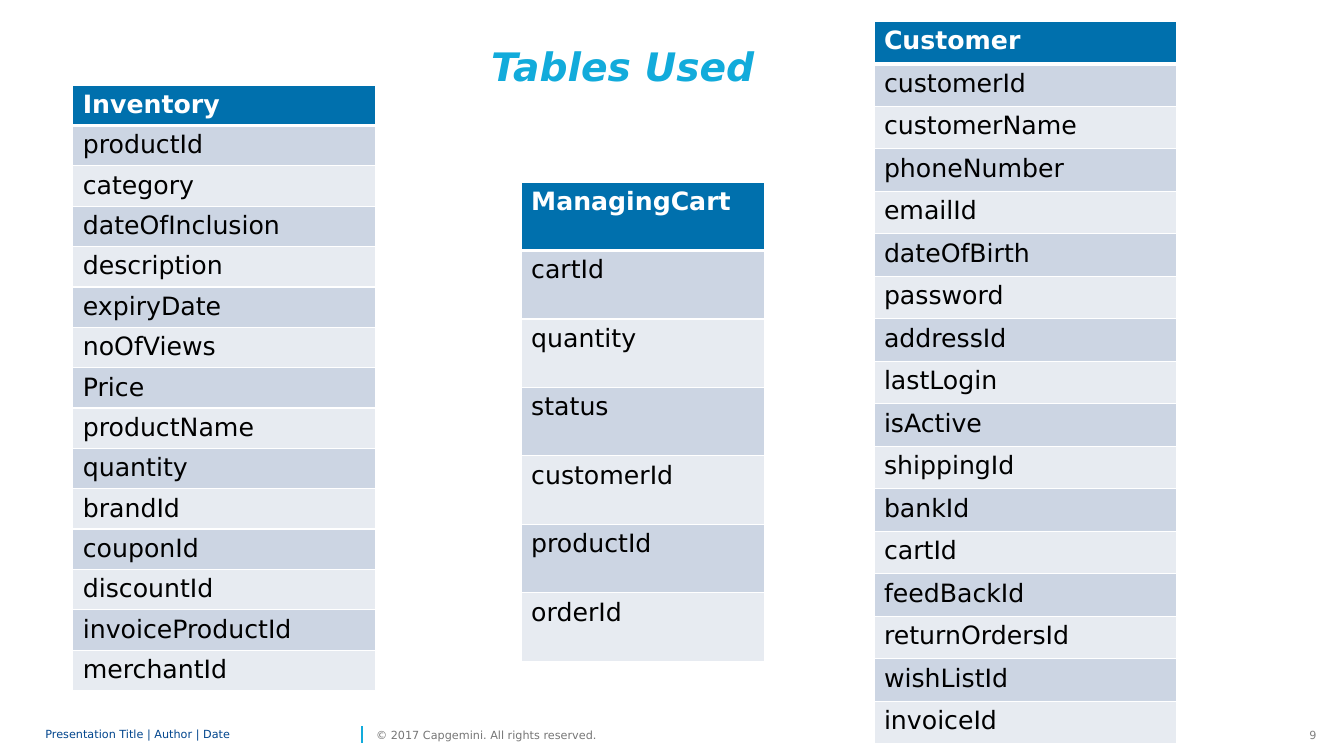
from lxml import etree
from pptx import Presentation
from pptx.dml import color
from pptx.enum import shapes, text
from pptx.oxml import ns
from pptx.util import Pt

FONT = "DejaVu Sans"
HEADER_FILL, BAND_FILLS = "0070AD", ("CCD5E3", "E7EBF1")
WHITE, BLACK, CYAN = "FFFFFF", "000000", "12ABDB"

INVENTORY = [
    "Inventory", "productId", "category", "dateOfInclusion", "description",
    "expiryDate", "noOfViews", "Price", "productName", "quantity", "brandId",
    "couponId", "discountId", "invoiceProductId", "merchantId",
]
MANAGING_CART = [
    "ManagingCart", "cartId", "quantity", "status", "customerId", "productId", "orderId",
]
CUSTOMER = [
    "Customer", "customerId", "customerName", "phoneNumber", "emailId",
    "dateOfBirth", "password", "addressId", "lastLogin", "isActive",
    "shippingId", "bankId", "cartId", "feedBackId", "returnOrdersId",
    "wishListId", "invoiceId",
]


def rgb(hex_string):
    return color.RGBColor.from_string(hex_string)


def set_attributes(target, values):
    for name, value in values.items():
        setattr(target, name, value)


def format_font(font, size, hex_color, bold=False, italic=False):
    set_attributes(font, {"name": FONT, "size": Pt(size), "bold": bold, "italic": italic})
    font.color.rgb = rgb(hex_color)


def add_title(slide, words):
    title = slide.shapes.title
    set_attributes(title, {"left": Pt(221.76), "top": Pt(41.76),
                           "width": Pt(436.32), "height": Pt(34.56)})
    frame = title.text_frame
    set_attributes(frame, {
        "text": words, "word_wrap": True, "auto_size": text.MSO_AUTO_SIZE.NONE,
        "vertical_anchor": text.MSO_ANCHOR.TOP, "margin_left": Pt(9.75),
        "margin_right": 0, "margin_top": 0, "margin_bottom": 0})
    paragraph = frame.paragraphs[0]
    set_attributes(paragraph, {"alignment": text.PP_ALIGN.CENTER, "line_spacing": Pt(22),
                               "space_before": Pt(0), "space_after": Pt(6)})
    format_font(paragraph.font, 28, CYAN, bold=True, italic=True)


def add_footer_text(slide, words, left, width, hex_color,
                    alignment=text.PP_ALIGN.LEFT, line_spacing=1.0):
    shape = slide.shapes.add_textbox(Pt(left), Pt(516.24), Pt(width), Pt(17.28))
    frame = shape.text_frame
    set_attributes(frame, {
        "text": words, "word_wrap": True, "vertical_anchor": text.MSO_ANCHOR.MIDDLE,
        "margin_left": 0, "margin_right": 0, "margin_top": 0, "margin_bottom": 0})
    paragraph = frame.paragraphs[0]
    set_attributes(paragraph, {"alignment": alignment, "line_spacing": line_spacing})
    format_font(paragraph.font, 8, hex_color)


def add_footer_divider(slide, x, top, bottom):
    line = slide.shapes.add_connector(
        shapes.MSO_CONNECTOR.STRAIGHT, Pt(x), Pt(bottom), Pt(x), Pt(top))
    line.line.width = Pt(1)
    line.line.color.rgb = rgb(CYAN)
    etree.SubElement(line.element.spPr, ns.qn("a:effectLst"))


def add_cell_borders(cell, widths):
    properties = cell._tc.get_or_add_tcPr()
    for side, width in widths.items():
        border = etree.SubElement(properties, ns.qn(f"a:ln{side}"), w=str(Pt(width)))
        fill = etree.SubElement(border, ns.qn("a:solidFill"))
        etree.SubElement(fill, ns.qn("a:srgbClr"), val=WHITE)


def add_field_table(slide, names, left, top, width, row_height):
    frame = slide.shapes.add_table(
        len(names), 1, Pt(left), Pt(top), Pt(width), Pt(row_height * len(names)))
    for index, name in enumerate(names):
        is_header = index == 0
        frame.table.rows[index].height = Pt(row_height)
        cell = frame.table.cell(index, 0)
        cell.text = name
        format_font(cell.text_frame.paragraphs[0].font, 18,
                    WHITE if is_header else BLACK, bold=is_header)
        # The header is set off by a thicker rule below it
        add_cell_borders(cell, {"L": 1, "R": 1, "T": 3 if index == 1 else 1,
                                "B": 3 if is_header else 1})
        cell.fill.solid()
        cell.fill.fore_color.rgb = rgb(HEADER_FILL if is_header else BAND_FILLS[(index - 1) % 2])


def main():
    presentation = Presentation()
    set_attributes(presentation, {"slide_width": Pt(960), "slide_height": Pt(540)})
    slide = presentation.slides.add_slide(presentation.slide_layouts[5])

    # Footer
    add_footer_text(slide, "9", 928, 12.4, "808080", text.PP_ALIGN.RIGHT)
    add_footer_divider(slide, 258.5, 518.4, 530.6)
    add_footer_text(slide, "Presentation Title | Author | Date", 32.4, 222.5, "00458D",
                    line_spacing=0.85)
    add_footer_text(slide, "© 2017 Capgemini. All rights reserved.", 268.6, 175, "767676")

    # Title and database tables
    add_title(slide, "Tables Used")
    add_field_table(slide, MANAGING_CART, 372.24, 130, 174.24, 48.9)
    add_field_table(slide, INVENTORY, 52, 60.8, 216, 28.1)
    add_field_table(slide, CUSTOMER, 624.24, 15.2, 216, 30.36)

    presentation.save("out.pptx")


if __name__ == "__main__":
    main()
